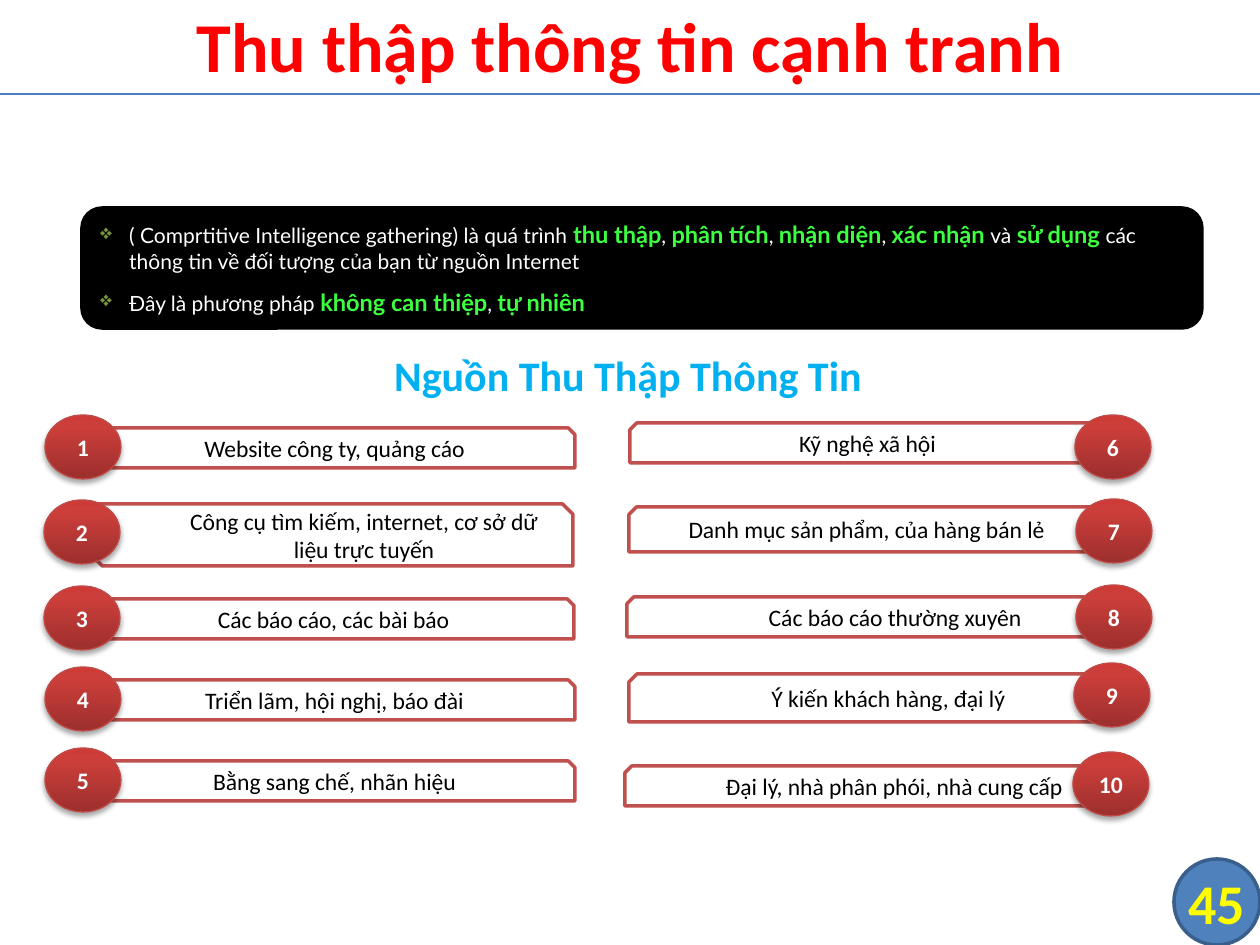
from lxml.etree import SubElement
from pptx import Presentation
from pptx.dml.color import RGBColor
from pptx.enum.shapes import MSO_CONNECTOR, MSO_SHAPE
from pptx.enum.text import MSO_ANCHOR, PP_ALIGN
from pptx.oxml.ns import qn
from pptx.util import Emu, Pt

# Content
TITLE = "Thu thập thông tin cạnh tranh"
HEADING = "Nguồn Thu Thập Thông Tin"
PAGE_NUMBER = "45"

# Each definition alternates plain and emphasised pieces.
DEFINITIONS = [
    ["( Comprtitive Intelligence gathering) là quá trình ", "thu thập", ", ",
     "phân tích", ", ", "nhận diện", ", ", "xác nhận ", "và ", "sử dụng ",
     "các thông tin về đối tượng của bạn từ nguồn Internet"],
    ["Đây là phương pháp ", "không can thiệp", ", ", "tự nhiên"],
]

# Label, bar left, bar top, bar height, badge left, badge top, indent level, alignment
CENTER, LEFT = PP_ALIGN.CENTER, PP_ALIGN.LEFT
LEFT_SOURCES = [
    ("Website công ty, quảng cáo", 94, 428, 40, 45, 415, 0, CENTER),
    ("Công cụ tìm kiếm, internet, cơ sở dữ liệu trực tuyến", 92, 504, 62, 44, 500, 1, CENTER),
    ("Các báo cáo, các bài báo", 93, 599, 40, 44, 586, 0, CENTER),
    ("Triển lãm, hội nghị, báo đài", 94, 680, 40, 45, 667, 0, CENTER),
    ("Bằng sang chế, nhãn hiệu", 94, 761, 40, 45, 748, 0, CENTER),
]
RIGHT_SOURCES = [
    ("Kỹ nghệ xã hội", 630, 423, 40, 1075, 415, 0, CENTER),
    ("Danh mục sản phẩm, của hàng bán lẻ", 629, 507, 45, 1076, 499, 0, CENTER),
    ("Các báo cáo thường xuyên", 627, 597, 40, 1076, 585, 2, LEFT),
    ("Ý kiến khách hàng, đại lý", 629, 674, 48, 1074, 663, 2, LEFT),
    ("Đại lý, nhà phân phói, nhà cung cấp", 625, 766, 40, 1073, 752, 1, CENTER),
]
# Sources, number of the first one, bar width, mirrored
COLUMNS = [(LEFT_SOURCES, 1, 481, False), (RIGHT_SOURCES, 6, 475, True)]

COLORS = {
    "title": "FF0000", "heading": "00B0F0", "rule": "4B7EBC",
    "page": "4F81BD", "page_line": "3A5F8C", "page_text": "FFFF00",
    "black": "000000", "white": "FFFFFF", "emphasis": "3BFF40", "bullet": "77933C",
    "bar_line": "C0504D", "badge_line": "BF4C48",
}
BADGE_STOPS = [(0, "9C2F2D"), (80, "CB3E3A"), (100, "CE3B37")]
BADGE_SIZE = (76, 64)
PIXELS_PER_INCH = 126
INDENT_STEP = 63
BULLET_INDENT = 29


def px(value):
    return Emu(round(value * 914400 / PIXELS_PER_INCH))


def color(name):
    return RGBColor.from_string(COLORS[name])


def set_font(font, size, color_name, bold=False, name="Calibri"):
    font.name, font.size, font.bold = name, Pt(size), bold
    font.color.rgb = color(color_name)


def write_text(shape, text, *, size, color_name, bold=False, align=CENTER, level=0):
    frame = shape.text_frame
    frame.word_wrap = True
    frame.vertical_anchor = MSO_ANCHOR.MIDDLE
    paragraph = frame.paragraphs[0]
    paragraph.alignment = align
    if level:
        paragraph.level = level
        paragraph._p.get_or_add_pPr().set("marL", str(px(level * INDENT_STEP)))
    run = paragraph.add_run()
    run.text = text
    set_font(run.font, size, color_name, bold)


def add_box(shapes, kind, box, fill=None, line=None, width=2, mirrored=False):
    shape = shapes.add_shape(kind, *map(px, box))
    shape.shadow.inherit = False
    if fill:
        shape.fill.solid()
        shape.fill.fore_color.rgb = color(fill)
    else:
        shape.fill.background()
    if line:
        shape.line.color.rgb = color(line)
        shape.line.width = Pt(width)
    else:
        shape.line.fill.background()
    if mirrored:
        shape._element.spPr.find(qn("a:xfrm")).set("flipH", "1")
    return shape


def add_badge(shapes, number, left, top, mirrored):
    badge = add_box(shapes, MSO_SHAPE.OVAL, (left, top, *BADGE_SIZE),
                    line="badge_line", width=0.75, mirrored=mirrored)
    badge.fill.gradient()
    badge.fill.gradient_angle = 90
    properties = badge._element.spPr
    stops = properties.find(qn("a:gradFill")).find(qn("a:gsLst"))
    for old_stop in list(stops):
        stops.remove(old_stop)
    for position, value in BADGE_STOPS:
        stop = SubElement(stops, qn("a:gs"), pos=str(position * 1000))
        SubElement(stop, qn("a:srgbClr"), val=value)
    shadow = SubElement(properties.find(qn("a:effectLst")), qn("a:outerShdw"),
                        blurRad=str(Pt(3.1)), dist=str(Pt(1.8)), dir="5400000", rotWithShape="0")
    shadow_color = SubElement(shadow, qn("a:srgbClr"), val=COLORS["black"])
    SubElement(shadow_color, qn("a:alpha"), val="35000")
    write_text(badge, str(number), size=13.5, color_name="white", bold=True)


def add_bullet(paragraph):
    properties = paragraph._p.get_or_add_pPr()
    properties.set("marL", str(px(BULLET_INDENT)))
    properties.set("indent", str(-px(BULLET_INDENT)))
    bullet_color = SubElement(properties, qn("a:buClr"))
    SubElement(bullet_color, qn("a:srgbClr"), val=COLORS["bullet"])
    SubElement(properties, qn("a:buChar"), char="❖")


def add_definitions(shapes):
    panel = add_box(shapes, MSO_SHAPE.ROUNDED_RECTANGLE, (82, 208, 1120, 120), "black", "black")
    frame = panel.text_frame
    frame.word_wrap = True
    frame.vertical_anchor = MSO_ANCHOR.MIDDLE
    for index, pieces in enumerate(DEFINITIONS):
        paragraph = frame.add_paragraph() if index else frame.paragraphs[0]
        paragraph.alignment = LEFT
        add_bullet(paragraph)
        if index:
            paragraph.line_spacing = 1.5
        for position, piece in enumerate(pieces):
            run = paragraph.add_run()
            run.text = piece
            if position % 2:
                set_font(run.font, 13.5, "emphasis", True, "Lato")
            else:
                set_font(run.font, 12, "white", False, "Lato")


def main():
    presentation = Presentation()
    presentation.slide_width, presentation.slide_height = px(1260), px(945)
    slide = presentation.slides.add_slide(presentation.slide_layouts[5])
    shapes = slide.shapes

    # Title and rule
    title = shapes.title
    title.left, title.top, title.width, title.height = map(px, (0, -4, 1260, 98))
    write_text(title, TITLE, size=40, color_name="title", bold=True)
    rule = shapes.add_connector(MSO_CONNECTOR.STRAIGHT, *map(px, (0, 94, 1260, 94)))
    rule.line.color.rgb = color("rule")
    rule.line.width = Pt(0.75)
    SubElement(rule._element.spPr, qn("a:effectLst"))

    # Page number
    page_box = (1174, 859, 86, 86)
    add_box(shapes, MSO_SHAPE.FLOWCHART_CONNECTOR, page_box, "page", "page_line")
    page = shapes.add_textbox(*map(px, page_box))
    frame = page.text_frame
    frame.margin_left = frame.margin_right = frame.margin_top = frame.margin_bottom = 0
    write_text(page, PAGE_NUMBER, size=32, color_name="page_text", bold=True)

    # Definitions and heading
    add_definitions(shapes)
    heading = add_box(shapes, MSO_SHAPE.ROUNDED_RECTANGLE, (68, 353, 1120, 44))
    write_text(heading, HEADING, size=24, color_name="heading", bold=True)

    # Numbered sources in two mirrored columns
    for sources, first, bar_width, mirrored in COLUMNS:
        column = shapes.add_group_shape().shapes
        for number, source in enumerate(sources, first):
            label, left, top, height, badge_left, badge_top, level, align = source
            bar = add_box(column, MSO_SHAPE.SNIP_2_DIAG_RECTANGLE, (left, top, bar_width, height),
                          "white", "bar_line", mirrored=mirrored)
            write_text(bar, label, size=13.5, color_name="black", align=align, level=level)
            add_badge(column, number, badge_left, badge_top, mirrored)

    presentation.save("out.pptx")


if __name__ == "__main__":
    main()
